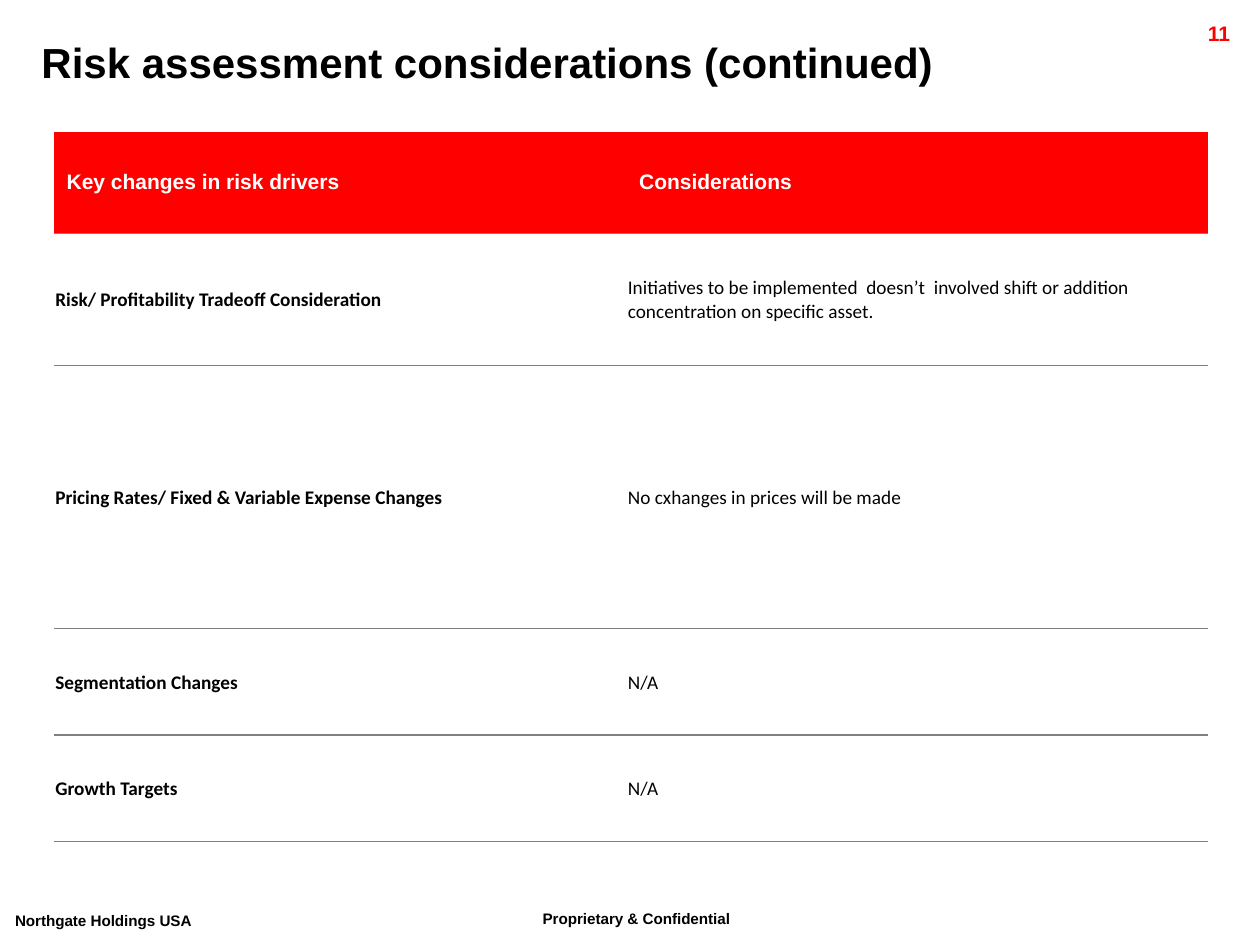
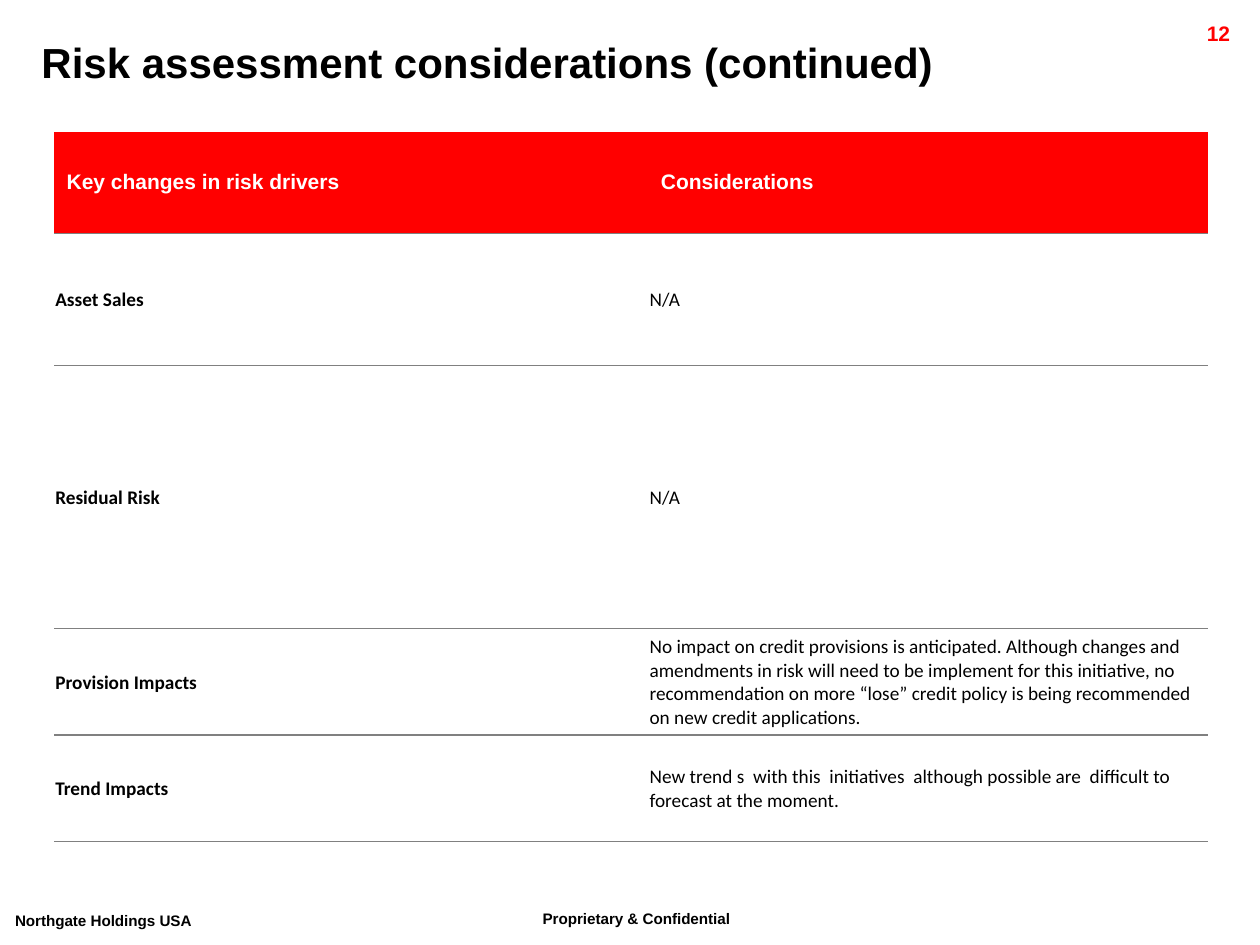
from dataclasses import dataclass

from lxml import etree
from pptx import Presentation
from pptx.dml.color import RGBColor as Rgb
from pptx.enum import text as txt
from pptx.oxml import ns
from pptx.util import Pt


@dataclass(frozen=True)
class Theme:
    red: str = "FF0000"
    black: str = "000000"
    white: str = "FFFFFF"
    rule: str = "808080"
    head: str = "Arial"
    body: str = "Calibri"
    title: float = 24
    label: float = 12
    cell: float = 11
    foot: float = 15


T = Theme()
PLAIN = "{2D5ABB26-0587-4C30-8999-92F81FD0307C}"  # table style without grid
TITLE = "Risk assessment considerations (continued)"
HEADS = ("Key changes in risk drivers", "Considerations")
ROWS = (58.3, 75.4, 150.3, 60.9, 60.9)

# Page number, width of first column, table rows
PAGES = [
    (11, 327.2, [
        ("Risk/ Profitability Tradeoff Consideration",
         "Initiatives to be implemented  doesn’t  involved shift or addition "
         "concentration on specific asset."),
        ("Pricing Rates/ Fixed & Variable Expense Changes",
         "No cxhanges in prices will be made"),
        ("Segmentation Changes", "N/A"),
        ("Growth Targets", "N/A"),
    ]),
    (12, 339.6, [
        ("Asset Sales", "N/A"),
        ("Residual Risk", "N/A"),
        ("Provision Impacts",
         "No impact on credit provisions is anticipated. Although changes and "
         "amendments in risk will need to be implement for this initiative, no "
         "recommendation on more “lose” credit policy is being recommended on "
         "new credit applications."),
        ("Trend Impacts",
         "New trend s  with this  initiatives  although possible are  "
         "difficult to forecast at the moment."),
    ]),
]


def write(frame, words, size, color=T.black, face=T.head, bold=True,
          align=txt.PP_ALIGN.LEFT):
    """Fill a text frame with one styled paragraph."""
    frame.word_wrap = True
    para = frame.paragraphs[0]
    run = para.add_run()
    run.text = words
    para.alignment = align
    font = para.font
    font.name, font.size, font.bold = face, Pt(size), bold
    font.color.rgb = Rgb.from_string(color)
    return run


def label(slide, box, words, size, **style):
    shape = slide.shapes.add_textbox(*map(Pt, box))
    return write(shape.text_frame, words, size, **style)


def title(slide, box):
    shape = slide.shapes.title
    shape.left, shape.top, shape.width, shape.height = map(Pt, box)
    frame = shape.text_frame
    frame.auto_size = txt.MSO_AUTO_SIZE.NONE
    frame.vertical_anchor = txt.MSO_ANCHOR.TOP
    write(frame, TITLE, T.title)


def frame(slide, box, page):
    """Page number at the top right, raised footers along the bottom."""
    x, y, w, h = box
    label(slide, (x + w - 78.5, y + 8, 68.5, 17), str(page), T.label,
          color=T.red, align=txt.PP_ALIGN.RIGHT)
    for left, top, width, words in (
            (303, 26, 157, "Proprietary & Confidential"),
            (1.5, 24.5, 137.5, "Northgate Holdings USA")):
        run = label(slide, (x + left, y + h - top, width, 25), words, T.foot)
        run.font._element.set("baseline", "30000")


def rule(cell):
    """Draw a thin line under a cell."""
    line = etree.Element(ns.qn("a:lnB"), w=str(Pt(1)))
    fill = etree.SubElement(line, ns.qn("a:solidFill"))
    etree.SubElement(fill, ns.qn("a:srgbClr"), val=T.rule)
    cell._tc.get_or_add_tcPr().insert(0, line)


def table(slide, box, split, rows):
    """Red heading row over ruled rows; split is the first column width."""
    x, y, w, h = box
    grid = slide.shapes.add_table(len(rows) + 1, 2, Pt(x), Pt(y), Pt(w), Pt(h)).table
    grid._tbl.tblPr.find(ns.qn("a:tableStyleId")).text = PLAIN
    grid.horz_banding = False
    for col, width in zip(grid.columns, (split, w - split)):
        col.width = Pt(width)
    for r, (high, words) in enumerate(zip(ROWS, [HEADS, *rows])):
        grid.rows[r].height = Pt(high)
        for c, word in enumerate(words):
            cell = grid.cell(r, c)
            cell.vertical_anchor = txt.MSO_ANCHOR.MIDDLE
            if r == 0:
                cell.fill.solid()
                cell.fill.fore_color.rgb = Rgb.from_string(T.red)
                write(cell.text_frame, word, T.label, color=T.white)
            else:
                cell.fill.background()
                cell.margin_left = cell.margin_right = cell.margin_top = Pt(0.72)
                cell.margin_bottom = 0
                write(cell.text_frame, word, T.cell, face=T.body, bold=c == 0)
            rule(cell)


def main():
    deck = Presentation()
    deck.slide_width, deck.slide_height = Pt(720), Pt(540)
    for page, split, rows in PAGES:
        slide = deck.slides.add_slide(deck.slide_layouts[5])
        frame(slide, (0, 0, 720, 540), page)
        title(slide, (16.5, 17.3, 707, 36))
        table(slide, (30.9, 75.2, 659.2, sum(ROWS)), split, rows)
    deck.save("out.pptx")


if __name__ == "__main__":
    main()
